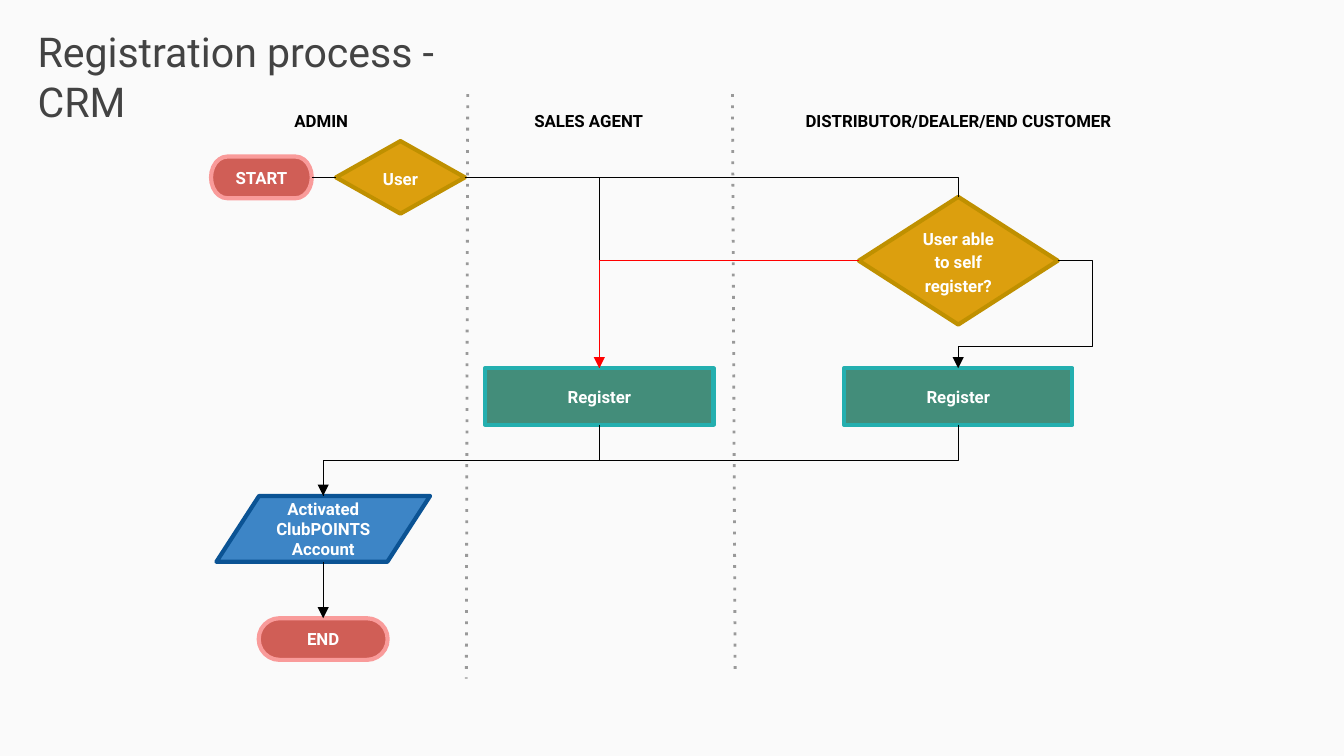
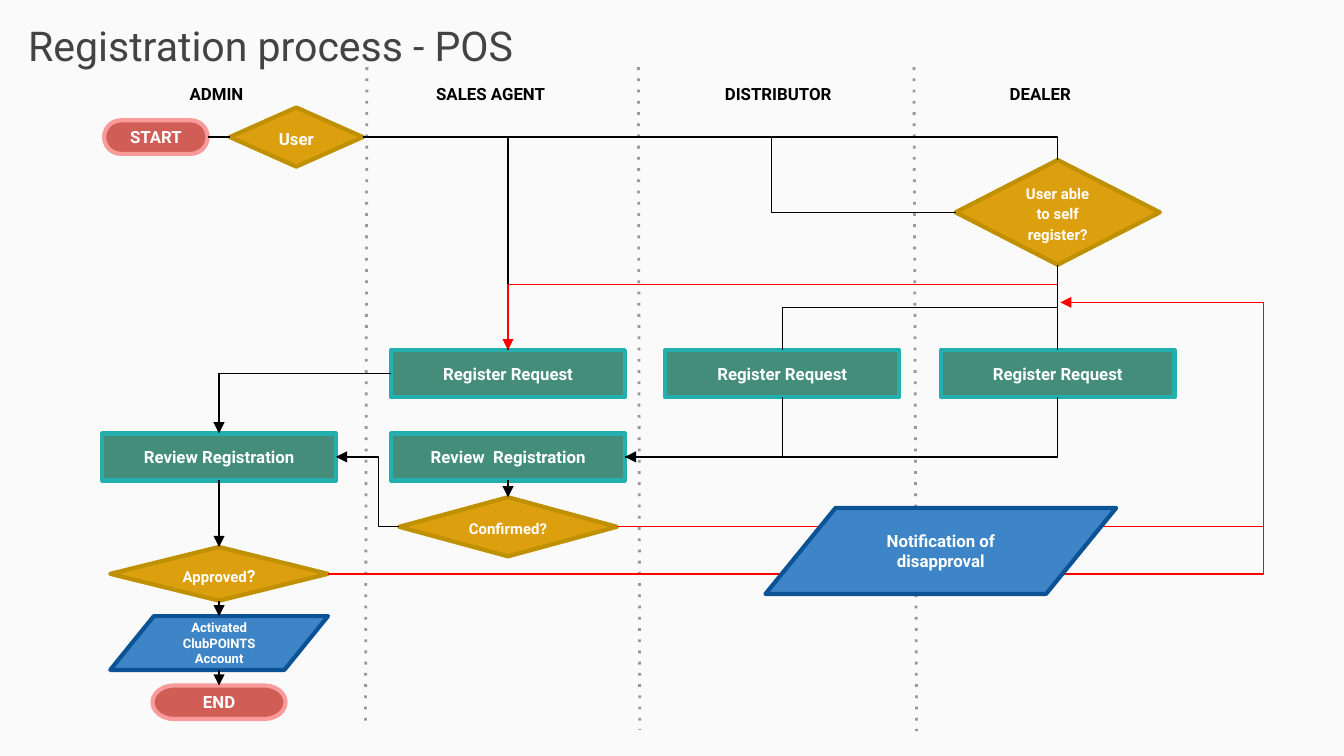
from dataclasses import dataclass

from lxml import etree
from pptx import Presentation
from pptx.dml.color import RGBColor
from pptx.enum.shapes import MSO_CONNECTOR, MSO_SHAPE
from pptx.enum.text import MSO_ANCHOR, MSO_AUTO_SIZE, PP_ALIGN
from pptx.oxml.ns import qn
from pptx.util import Inches, Pt

SLIDE_WIDTH, SLIDE_HEIGHT = Inches(10), Inches(5.625)
CELL = SLIDE_WIDTH / 100  # all positions count square grid cells
STRAIGHT, ELBOW = MSO_CONNECTOR.STRAIGHT, MSO_CONNECTOR.ELBOW
ANCHOR_TOP, ANCHOR_MIDDLE = MSO_ANCHOR.TOP, MSO_ANCHOR.MIDDLE
CENTER, LEFT_ALIGNED = PP_ALIGN.CENTER, PP_ALIGN.LEFT
FIXED_SIZE, FIT_SHAPE = MSO_AUTO_SIZE.NONE, MSO_AUTO_SIZE.SHAPE_TO_FIT_TEXT
TOP, LEFT, BOTTOM, RIGHT = range(4)
SIDE_OFFSETS = {TOP: (0, -0.5), LEFT: (-0.5, 0), BOTTOM: (0, 0.5), RIGHT: (0.5, 0)}
DATA_TOP_SITE = 1  # connection site in the middle of a data shape's top
TERMINATOR = MSO_SHAPE.FLOWCHART_TERMINATOR
DECISION = MSO_SHAPE.DIAMOND
PROCESS = MSO_SHAPE.RECTANGLE
DATA = MSO_SHAPE.FLOWCHART_DATA


@dataclass(frozen=True)
class Theme:
    font: str = "Roboto"
    background: str = "FAFAFA"
    title: str = "434343"
    ink: str = "000000"
    light: str = "FFFFFF"
    divider: str = "999999"
    rejected: str = "FF0000"
    title_size: float = 22
    text_size: float = 9
    small_size: float = 8
    tiny_size: float = 7
    border: float = 2.25
    link: float = 0.75
    divider_width: float = 1.5


THEME = Theme()
NODE_COLOURS = {
    TERMINATOR: ("D05E56", "F99B9A"),
    DECISION: ("DC9F0E", "BF9000"),
    PROCESS: ("438D7A", "24AFAF"),
    DATA: ("3D85C6", "0B5394"),
}


@dataclass(frozen=True)
class Node:
    key: str
    kind: int
    text: str
    x: float  # centre
    y: float  # centre
    width: float
    height: float
    size: float = THEME.text_size
    mark: str = ""

    def side(self, side: int) -> tuple[float, float]:
        across, down = SIDE_OFFSETS[side]
        return self.x + across * self.width, self.y + down * self.height


@dataclass(frozen=True)
class End:
    """A side of a node, or a free point when no key is given."""
    key: str = ""
    side: int = RIGHT
    point: tuple[float, float] = (0, 0)


@dataclass(frozen=True)
class Link:
    begin: End
    end: End
    bends: tuple[float, ...] = ()
    arrow: bool = False
    colour: str = THEME.ink


@dataclass(frozen=True)
class Divider:
    top_x: float
    bottom_x: float
    bottom: float


@dataclass(frozen=True)
class Lane:
    label: str
    x: float


@dataclass(frozen=True)
class Flow:
    title: str
    title_box: tuple[float, float, float, float]
    lane_top: float
    lane_width: float
    label_top: float
    lanes: list[Lane]
    dividers: list[Divider]
    nodes: list[Node]
    links: list[Link]
    overlays: list[Node]


def cells(value: float) -> int:
    return round(value * CELL)


def colour_of(code: str) -> RGBColor:
    return RGBColor.from_string(code)


def add_run(paragraph, text: str, size: float, colour: str, bold: bool = True) -> None:
    run = paragraph.add_run()
    run.text = text
    run.font.name, run.font.size, run.font.bold = THEME.font, Pt(size), bold
    run.font.color.rgb = colour_of(colour)


def prepare_frame(shape, anchor, alignment):
    """Set wrapping, insets and alignment, and return the first paragraph."""
    frame = shape.text_frame
    frame.word_wrap, frame.vertical_anchor = True, anchor
    frame.margin_left = frame.margin_right = frame.margin_top = frame.margin_bottom = Inches(0.1)
    frame.paragraphs[0].alignment = alignment
    return frame.paragraphs[0]


def add_title(slide, flow: Flow) -> None:
    title = slide.shapes.title
    title.left, title.top, title.width, title.height = map(cells, flow.title_box)
    paragraph = prepare_frame(title, ANCHOR_TOP, LEFT_ALIGNED)
    title.text_frame.auto_size = FIXED_SIZE
    add_run(paragraph, flow.title, THEME.title_size, THEME.title, bold=False)
    for placeholder in list(slide.placeholders):
        if placeholder.placeholder_format.idx:
            placeholder.element.getparent().remove(placeholder.element)


def add_lane_label(slide, lane: Lane, flow: Flow) -> None:
    box = slide.shapes.add_textbox(cells(lane.x - flow.lane_width / 2), cells(flow.label_top),
                                   cells(flow.lane_width), cells(3.5))
    paragraph = prepare_frame(box, ANCHOR_TOP, CENTER)
    box.text_frame.auto_size = FIT_SHAPE
    add_run(paragraph, lane.label, THEME.text_size, THEME.ink)


def add_node(slide, node: Node):
    shape = slide.shapes.add_shape(node.kind, cells(node.x - node.width / 2),
                                   cells(node.y - node.height / 2),
                                   cells(node.width), cells(node.height))
    fill, border = NODE_COLOURS[node.kind]
    shape.shadow.inherit = False
    shape.fill.solid()
    shape.fill.fore_color.rgb = colour_of(fill)
    shape.line.color.rgb = colour_of(border)
    shape.line.width = Pt(THEME.border)
    paragraph = prepare_frame(shape, ANCHOR_MIDDLE, CENTER)
    if node.kind == DECISION:
        paragraph.line_spacing = 1.15
        paragraph.space_before = paragraph.space_after = Pt(12)
    add_run(paragraph, node.text, node.size, THEME.light)
    if node.mark:
        add_run(paragraph, node.mark, THEME.text_size, THEME.light)
    return shape


def add_line(slide, kind, begin, end, colour: str, width: float):
    line = slide.shapes.add_connector(kind, *map(cells, (*begin, *end)))
    line.line.color.rgb = colour_of(colour)
    line.line.width = Pt(width)
    etree.SubElement(line.element.spPr, qn("a:effectLst"))
    return line


def add_outline_part(line, tag: str, attribute: str, value: str) -> None:
    outline = line.element.spPr.find(qn("a:ln"))
    etree.SubElement(outline, qn(tag)).set(attribute, value)


def shape_elbow(line, begin, end, vertical_first: bool, bends: tuple[float, ...]) -> None:
    """Lay an elbow from begin to end; bends are shares of its box."""
    across, down = end[0] - begin[0], end[1] - begin[1]
    width, height = (abs(down), abs(across)) if vertical_first else (abs(across), abs(down))
    line.left = cells((begin[0] + end[0] - width) / 2)
    line.top = cells((begin[1] + end[1] - height) / 2)
    line.width, line.height = cells(width), cells(height)
    flips = (down < 0, across > 0) if vertical_first else (across < 0, down < 0)
    transform = line.element.spPr.find(qn("a:xfrm"))
    for name, flipped in zip(("flipH", "flipV"), flips):
        transform.set(name, str(int(flipped)))
    transform.set("rot", "5400000" if vertical_first else "0")

    geometry = line.element.spPr.find(qn("a:prstGeom"))
    geometry.set("prst", f"bentConnector{2 + len(bends)}")
    adjustments = geometry.find(qn("a:avLst"))
    if adjustments is None:
        adjustments = etree.SubElement(geometry, qn("a:avLst"))
    for number, bend in enumerate(bends, start=1):
        guide = etree.SubElement(adjustments, qn("a:gd"))
        guide.set("name", f"adj{number}")
        guide.set("fmla", f"val {round(bend * 100000)}")


def attach(connect, end: End, nodes: dict[str, Node], shapes: dict, is_straight: bool) -> None:
    """Join an end to its node; a straight line keeps its own place at a data shape."""
    if not end.key:
        return
    if nodes[end.key].kind != DATA:
        connect(shapes[end.key], end.side)
    elif end.side == TOP and not is_straight:
        connect(shapes[end.key], DATA_TOP_SITE)


def add_link(slide, link: Link, nodes: dict[str, Node], shapes: dict) -> None:
    begin, end = (nodes[tip.key].side(tip.side) if tip.key else tip.point
                  for tip in (link.begin, link.end))
    is_straight = min(abs(begin[0] - end[0]), abs(begin[1] - end[1])) < 0.3
    line = add_line(slide, STRAIGHT if is_straight else ELBOW, begin, end,
                    link.colour, THEME.link)
    attach(line.begin_connect, link.begin, nodes, shapes, is_straight)
    attach(line.end_connect, link.end, nodes, shapes, is_straight)
    if not is_straight:
        shape_elbow(line, begin, end, link.begin.side in (TOP, BOTTOM), link.bends)
    if link.arrow:
        add_outline_part(line, "a:tailEnd", "type", "triangle")


def add_flow(presentation, flow: Flow) -> None:
    slide = presentation.slides.add_slide(presentation.slide_layouts[0])
    add_title(slide, flow)
    for divider in flow.dividers:
        line = add_line(slide, STRAIGHT, (divider.top_x, flow.lane_top),
                        (divider.bottom_x, divider.bottom), THEME.divider, THEME.divider_width)
        add_outline_part(line, "a:prstDash", "val", "dot")
    for lane in flow.lanes:
        add_lane_label(slide, lane, flow)
    shapes = {node.key: add_node(slide, node) for node in flow.nodes}
    nodes = {node.key: node for node in flow.nodes}
    for link in flow.links:
        add_link(slide, link, nodes, shapes)
    for node in flow.overlays:
        add_node(slide, node)


def crm_flow() -> Flow:
    admin, agent, customer = 24.05, 44.6, 71.3
    user, able = End("user", RIGHT), "able"
    nodes = [
        Node("start", TERMINATOR, "START", 19.45, 13.2, 7.5, 3.1),
        Node("end", TERMINATOR, "END", admin, 47.55, 9.6, 3.1),
        Node("user", DECISION, "User", 29.8, 13.2, 9.6, 5.4),
        Node(able, DECISION, "User able to self register?", customer, 19.4, 14.8, 9.5),
        Node("agent", PROCESS, "Register", agent, 29.5, 17, 4.2),
        Node("customer", PROCESS, "Register", customer, 29.5, 17, 4.2),
        Node("account", DATA, "Activated ClubPOINTS Account", admin, 39.35, 15.9, 4.9),
    ]
    links = [
        Link(End("start", RIGHT), End("user", LEFT)),
        Link(user, End("agent", TOP)),
        Link(user, End(able, TOP)),
        Link(End(able, LEFT), End("agent", TOP), arrow=True, colour=THEME.rejected),
        Link(End(able, RIGHT), End("customer", TOP), (-0.35, 0.8), arrow=True),
        Link(End("account", BOTTOM), End("end", TOP), arrow=True),
        Link(End("agent", BOTTOM), End("account", TOP), (0.5,), arrow=True),
        Link(End("customer", BOTTOM), End("account", TOP), (0.5,)),
    ]
    lanes = [Lane("ADMIN", 23.9), Lane("SALES AGENT", 43.8),
             Lane("DISTRIBUTOR/DEALER/END CUSTOMER", customer)]
    dividers = [Divider(34.8, 34.7, 50.5), Divider(54.5, 54.7, 49.9)]
    return Flow("Registration process - CRM", (1.8, 1, 34.1, 6), 7, 25, 7.5,
                lanes, dividers, nodes, links, [])


def pos_flow() -> Flow:
    admin, agent, distributor, dealer = 16.3, 37.8, 58.2, 78.7
    return_x, return_y = 94, 22.5
    user, able = End("user", RIGHT), End("able", BOTTOM)
    requests = [Node(key, PROCESS, "Register Request", x, 27.8, 17.4, 3.5)
                for key, x in (("agent", agent), ("distributor", distributor), ("dealer", dealer))]
    nodes = requests + [
        Node("start", TERMINATOR, "START", 11.6, 10.2, 7.7, 2.5),
        Node("end", TERMINATOR, "END", admin, 52.25, 9.9, 2.5),
        Node("user", DECISION, "User", 22.05, 10.2, 9.9, 4.4),
        Node("agent review", PROCESS, "Review  Registration", agent, 34, 17.4, 3.5),
        Node("admin review", PROCESS, "Review Registration", admin, 34, 17.4, 3.5),
        Node("able", DECISION, "User able to self register?", dealer, 15.8, 15.2, 7.8,
             THEME.small_size),
        Node("confirmed", DECISION, "Confirmed?", agent, 39.2, 16.2, 4.4, THEME.small_size),
        Node("approved", DECISION, "Approved", admin, 42.7, 16.2, 4, THEME.small_size, "?"),
        Node("account", DATA, "Activated ClubPOINTS Account", admin, 47.85, 16.2, 4,
             THEME.tiny_size),
    ]
    links = [
        Link(End("start", RIGHT), End("user", LEFT)),
        Link(user, End("agent", TOP)),
        Link(user, End("able", LEFT), (0.69,)),
        Link(user, End("able", TOP)),
        Link(able, End("agent", TOP), (0.23,), arrow=True, colour=THEME.rejected),
        Link(able, End("distributor", TOP), (0.5,)),
        Link(able, End("dealer", TOP)),
        Link(End("agent", LEFT), End("admin review", TOP), arrow=True),
        Link(End("distributor", BOTTOM), End("agent review", RIGHT)),
        Link(End("dealer", BOTTOM), End("agent review", RIGHT), arrow=True),
        Link(End("agent review", BOTTOM), End("confirmed", TOP), arrow=True),
        Link(End("confirmed", LEFT), End("admin review", RIGHT), (0.33,), arrow=True),
        Link(End("confirmed", RIGHT), End(point=(return_x, return_y)), (1,),
             colour=THEME.rejected),
        Link(End("admin review", BOTTOM), End("approved", TOP), arrow=True),
        Link(End("approved", BOTTOM), End("account", TOP), arrow=True),
        Link(End("account", BOTTOM), End("end", TOP), arrow=True),
        Link(End("approved", RIGHT), End(point=(79.2, return_y)), (1.27,),
             colour=THEME.rejected),
        Link(End(point=(return_x, return_y)), End(point=(78.9, return_y)), arrow=True,
             colour=THEME.rejected),
    ]
    lanes = [Lane("ADMIN", 16.1), Lane("SALES AGENT", 36.5), Lane("DISTRIBUTOR", 57.9),
             Lane("DEALER", 77.4)]
    dividers = [Divider(27.3, 27.2, 54.1), Divider(47.5, 47.6, 54.3), Divider(68, 68.2, 54.4)]
    notification = Node("notification", DATA, "Notification of disapproval", 70, 41, 26.1, 6.4)
    return Flow("Registration process - POS", (1.1, 0.5, 43.1, 5), 5, 25.7, 5.5,
                lanes, dividers, nodes, links, [notification])


def main() -> None:
    presentation = Presentation()
    presentation.slide_width, presentation.slide_height = SLIDE_WIDTH, SLIDE_HEIGHT
    background = presentation.slide_master.background.fill
    background.solid()
    background.fore_color.rgb = colour_of(THEME.background)
    for flow in (crm_flow(), pos_flow()):
        add_flow(presentation, flow)
    presentation.save("out.pptx")


if __name__ == "__main__":
    main()
